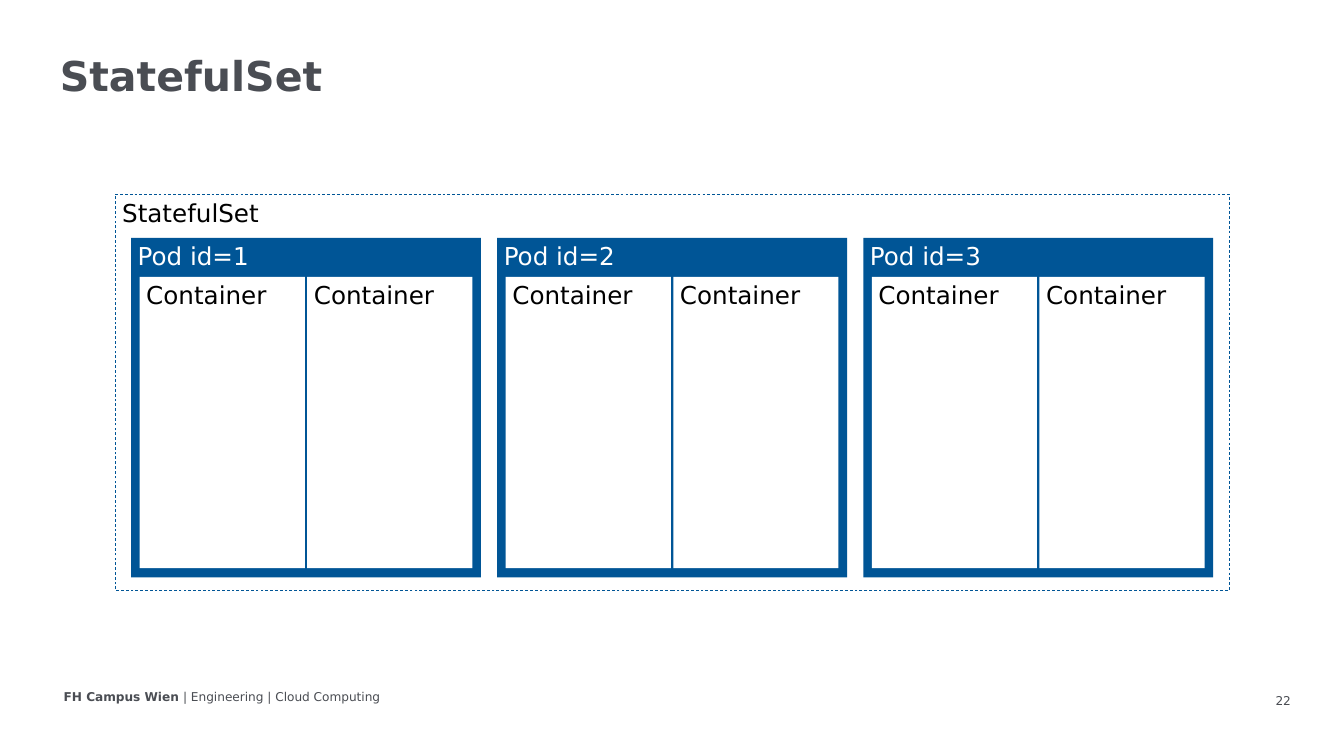
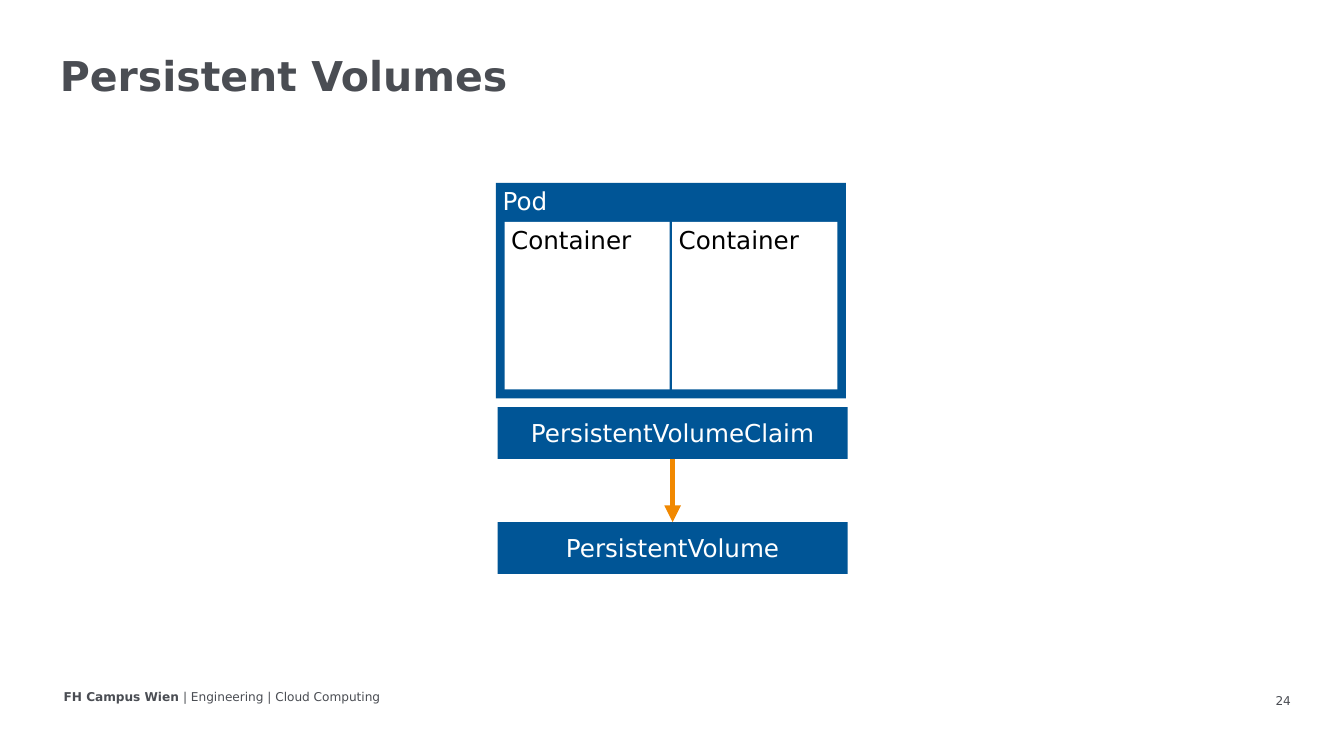
from lxml.etree import SubElement
from pptx import Presentation
from pptx.dml.color import RGBColor
from pptx.enum.dml import MSO_LINE
from pptx.enum.shapes import MSO_CONNECTOR, MSO_SHAPE
from pptx.enum.text import MSO_ANCHOR, PP_ALIGN
from pptx.oxml.ns import qn
from pptx.util import Inches, Pt

COLORS = {
    "blue": "005596",
    "orange": "F18800",
    "gray": "4A4D53",
    "black": "000000",
    "white": "FFFFFF",
}
FONT = "DejaVu Sans"
TITLE_SIZE, BODY_SIZE, FOOTER_SIZE = 44, 26.4, 13

POD_WIDTH = 26.04
POD_PITCH = 27.24
POD_HEADER = 5.16
POD_BOTTOM = 1.2
CONTAINER_WIDTH = 12.29
CONTAINER_GAP = 0.18
BAR_HEIGHT = 6.84


def rgb(name):
    return RGBColor.from_string(COLORS[name])


class Deck:
    def __init__(self):
        self.prs = Presentation()
        self.prs.slide_width = Inches(20.01)
        self.prs.slide_height = Inches(11.25)
        self.s = None

    def x(self, percent):
        return round(self.prs.slide_width * percent / 100)

    def y(self, percent):
        return round(self.prs.slide_height * percent / 100)

    def box(self, x, y, w, h):
        return self.x(x), self.y(y), self.x(w), self.y(h)

    def style(self, p, size, color, bold=False, align=PP_ALIGN.LEFT):
        p.alignment = align
        p.font.name = FONT
        p.font.size = Pt(size)
        p.font.color.rgb = rgb(color)
        p.font.bold = bold

    def slide(self, title, number):
        self.s = self.prs.slides.add_slide(self.prs.slide_layouts[5])
        self.title(title)
        self.footer(number)

    def title(self, text):
        sp = self.s.shapes.title
        sp.left, sp.top, sp.width, sp.height = self.box(3.95, 6.93, 93.1, 6.84)
        tf = sp.text_frame
        tf.text = text
        tf.word_wrap = True
        tf.vertical_anchor = MSO_ANCHOR.TOP
        p = tf.paragraphs[0]
        p.line_spacing = 0.9
        self.style(p, TITLE_SIZE, "gray", bold=True)

    def footer(self, number):
        tf = self.s.shapes.add_textbox(*self.box(4.25, 90.76, 33.88, 2.84)).text_frame
        tf.word_wrap = True
        p = tf.paragraphs[0]
        self.style(p, FOOTER_SIZE, "gray")
        r = p.add_run()
        r.text = "FH Campus Wien "
        r.font.bold = True
        p.add_run().text = "| Engineering | Cloud Computing"

        tf = self.s.shapes.add_textbox(*self.box(74.56, 90.76, 22.49, 3.73)).text_frame
        tf.text = str(number)
        tf.word_wrap = True
        tf.vertical_anchor = MSO_ANCHOR.MIDDLE
        tf.margin_left = tf.margin_right = Inches(0.2)
        tf.margin_top = tf.margin_bottom = Inches(0.1)
        self.style(tf.paragraphs[0], FOOTER_SIZE, "gray", align=PP_ALIGN.RIGHT)

    def rect(self, text, x, y, w, h, fill=None, color="black", centered=False):
        sp = self.s.shapes.add_shape(MSO_SHAPE.RECTANGLE, *self.box(x, y, w, h))
        sp.shadow.inherit = False
        sp.line.fill.background()
        if fill:
            sp.fill.solid()
            sp.fill.fore_color.rgb = rgb(fill)
        else:
            sp.fill.background()
        tf = sp.text_frame
        tf.text = text
        tf.word_wrap = True
        tf.vertical_anchor = MSO_ANCHOR.MIDDLE if centered else MSO_ANCHOR.TOP
        align = PP_ALIGN.CENTER if centered else PP_ALIGN.LEFT
        self.style(tf.paragraphs[0], BODY_SIZE, color, align=align)
        return sp

    def group_frame(self, text, x, y, w, h):
        line = self.rect(text, x, y, w, h).line
        line.color.rgb = rgb("blue")
        line.width = Pt(0.75)
        line.dash_style = MSO_LINE.DASH

    def pod(self, text, x, y, h):
        self.rect(text, x, y, POD_WIDTH, h, "blue", "white")
        side = (POD_WIDTH - 2 * CONTAINER_WIDTH - CONTAINER_GAP) / 2
        for i in range(2):
            left = x + side + i * (CONTAINER_WIDTH + CONTAINER_GAP)
            self.rect("Container", left, y + POD_HEADER, CONTAINER_WIDTH,
                      h - POD_HEADER - POD_BOTTOM, "white")

    def bar(self, text, x, y):
        self.rect(text, x, y, POD_WIDTH, BAR_HEIGHT, "blue", "white", centered=True)

    def down_arrow(self, x, top, bottom):
        c = self.s.shapes.add_connector(
            MSO_CONNECTOR.STRAIGHT, self.x(x), self.y(top), self.x(x), self.y(bottom))
        c.line.color.rgb = rgb("orange")
        c.line.width = Pt(6)
        SubElement(c.line._get_or_add_ln(), qn("a:tailEnd"), type="triangle")
        SubElement(c._element.spPr, qn("a:effectLst"))


def main():
    deck = Deck()

    deck.slide("StatefulSet", 22)
    deck.group_frame("StatefulSet", 8.6, 25.69, 82.86, 52.44)
    for i in range(3):
        deck.pod(f"Pod id={i + 1}", 9.75 + i * POD_PITCH, 31.47, 44.89)

    deck.slide("Persistent Volumes", 24)
    deck.pod("Pod", 36.9, 24.18, 28.53)
    bar_x, claim_y, volume_y = 37.03, 53.87, 69.07
    deck.bar("PersistentVolumeClaim", bar_x, claim_y)
    deck.bar("PersistentVolume", bar_x, volume_y)
    deck.down_arrow(bar_x + POD_WIDTH / 2, claim_y + BAR_HEIGHT, volume_y)

    deck.prs.save("out.pptx")


if __name__ == "__main__":
    main()
